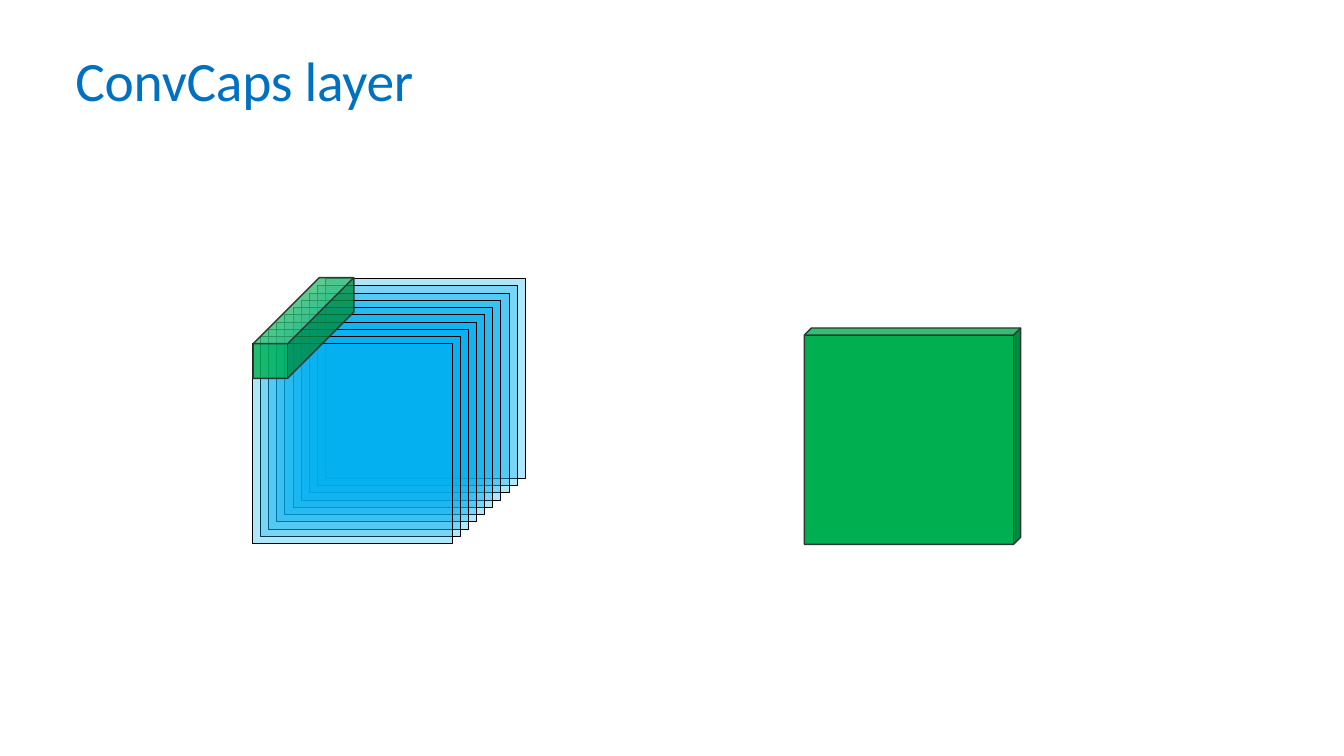
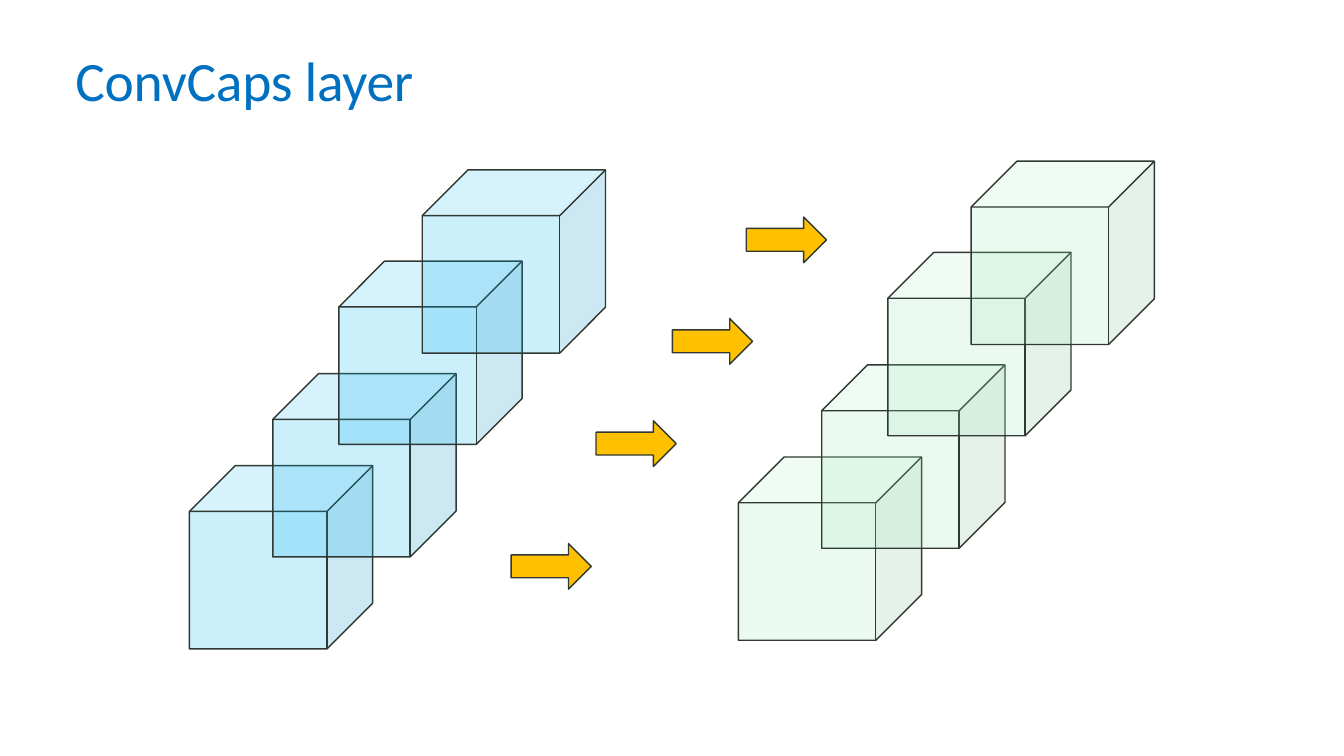
from dataclasses import dataclass
from typing import Optional, Union

from lxml.etree import SubElement
from pptx import Presentation
from pptx.dml.color import RGBColor
from pptx.enum.shapes import MSO_SHAPE as Preset
from pptx.enum.text import MSO_AUTO_SIZE as AutoSize
from pptx.oxml.ns import qn
from pptx.shapes.shapetree import GroupShapes, SlideShapes
from pptx.slide import Slide
from pptx.util import Cm, Pt

COLORS = {
    "title": "0070C0",
    "outline": "2F3832",
    "sheet_line": "000000",
    "input": "00B0F0",
    "output": "00B050",
    "pale_output": "9FEAB8",
    "arrow": "FFC000",
}
FONT = "Calibri"

SLIDE_SIZE = (17.09, 9.61)

SHEET_COUNT = 10
SHEET_SIZE = 2.54
BACK_SHEET = (4.14, 3.54)
FRONT_SHEET = (3.21, 4.37)

CUBE_SIZE = 2.33
OUTPUT_SHIFT = (6.98, -0.11)
ARROW_SIZE = (1.02, 0.58)


@dataclass(frozen=True)
class Style:
    fill: str
    opacity: int = 100
    line: str = "outline"
    line_width: float = 0.5


@dataclass(frozen=True)
class Block:
    preset: Preset
    left: float
    top: float
    width: float
    height: float
    style: Style
    depth: Optional[float] = None


@dataclass(frozen=True)
class CapsuleStep:
    cube_left: float
    cube_top: float
    arrow_left: float
    arrow_top: float


SHEET = Style("input", 31, "sheet_line", 0.25)
KERNEL = Style("output", 80)
FEATURE_MAP = Style("output")
INPUT_CUBE = Style("input", 20)
OUTPUT_CUBE = Style("pale_output", 20)
ARROW = Style("arrow")

CAPSULE_STEPS = [
    CapsuleStep(2.41, 5.92, 6.5, 6.91),
    CapsuleStep(3.47, 4.75, 7.58, 5.35),
    CapsuleStep(4.31, 3.32, 8.55, 4.05),
    CapsuleStep(5.37, 2.16, 9.49, 2.76),
]


def rgb(name: str) -> RGBColor:
    return RGBColor.from_string(COLORS[name])


def draw_block(shapes: Union[GroupShapes, SlideShapes], block: Block) -> None:
    box = [Cm(length) for length in (block.left, block.top, block.width, block.height)]
    shape = shapes.add_shape(block.preset, *box)
    shape.shadow.inherit = False
    style = block.style
    shape.fill.solid()
    shape.fill.fore_color.rgb = rgb(style.fill)
    if style.opacity < 100:
        color = shape.element.spPr.find(qn("a:solidFill")).find(qn("a:srgbClr"))
        SubElement(color, qn("a:alpha"), val=str(style.opacity * 1000))
    shape.line.color.rgb = rgb(style.line)
    shape.line.width = Pt(style.line_width)
    if block.depth is not None:
        shape.adjustments[0] = block.depth


def add_titled_slide(presentation: Presentation, title: str) -> Slide:
    slide = presentation.slides.add_slide(presentation.slide_layouts[6])
    frame = slide.shapes.add_textbox(Cm(0.93), Cm(0.53), Cm(9.73), Cm(0.91)).text_frame
    frame.word_wrap = True
    frame.auto_size = AutoSize.SHAPE_TO_FIT_TEXT
    frame.margin_left, frame.margin_top = Cm(0.03), Cm(0.05)
    frame.margin_right = frame.margin_bottom = 0
    run = frame.paragraphs[0].add_run()
    run.text = title
    run.font.name = FONT
    run.font.size = Pt(20)
    run.font.color.rgb = rgb("title")
    run.font._element.set("spc", "-10")
    return slide


def draw_sheets(slide: Slide) -> None:
    stack = slide.shapes.add_group_shape()
    for index in range(SHEET_COUNT):
        share = index / (SHEET_COUNT - 1)
        left, top = (
            back + (front - back) * share
            for back, front in zip(BACK_SHEET, FRONT_SHEET)
        )
        sheet = Block(Preset.RECTANGLE, left, top, SHEET_SIZE, SHEET_SIZE, SHEET)
        draw_block(stack.shapes, sheet)


def draw_cube(
    slide: Slide, left: float, top: float, size: float, style: Style, depth: float = 0.25
) -> None:
    draw_block(slide.shapes, Block(Preset.CUBE, left, top, size, size, style, depth))


def draw_step(slide: Slide, step: CapsuleStep) -> None:
    shift_x, shift_y = OUTPUT_SHIFT
    left, top = step.cube_left, step.cube_top
    draw_cube(slide, left + shift_x, top + shift_y, CUBE_SIZE, OUTPUT_CUBE)
    draw_cube(slide, left, top, CUBE_SIZE, INPUT_CUBE)
    arrow = Block(Preset.RIGHT_ARROW, step.arrow_left, step.arrow_top, *ARROW_SIZE, ARROW)
    draw_block(slide.shapes, arrow)


def main() -> None:
    presentation = Presentation()
    presentation.slide_width, presentation.slide_height = map(Cm, SLIDE_SIZE)

    convolution = add_titled_slide(presentation, "ConvCaps layer")
    draw_sheets(convolution)
    draw_cube(convolution, 10.23, 4.17, 2.75, FEATURE_MAP, 0.033)
    draw_cube(convolution, 3.22, 3.53, 1.28, KERNEL, 0.657)

    capsules = add_titled_slide(presentation, "ConvCaps layer")
    for step in CAPSULE_STEPS:
        draw_step(capsules, step)

    presentation.save("out.pptx")


if __name__ == "__main__":
    main()
